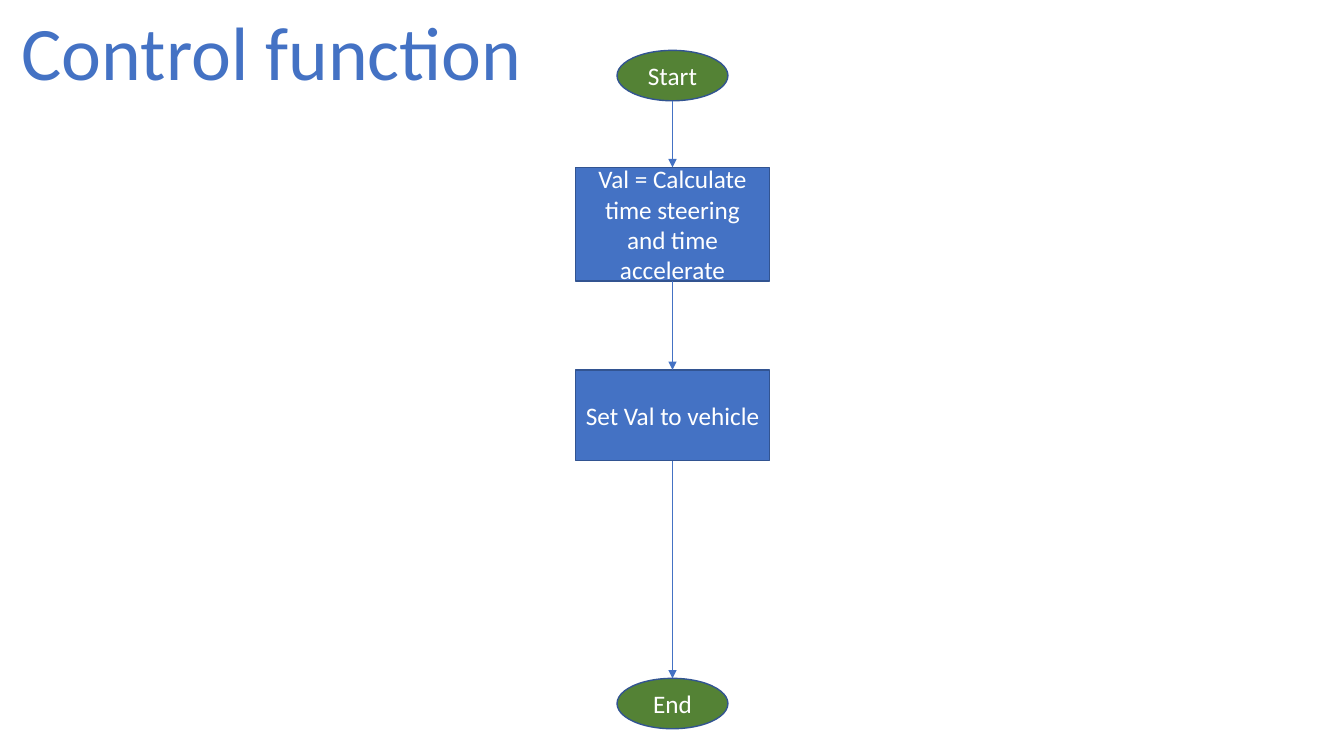
from dataclasses import dataclass
from itertools import pairwise

from lxml.etree import SubElement
from pptx import Presentation
from pptx.dml.color import RGBColor
from pptx.enum.shapes import MSO_CONNECTOR, MSO_SHAPE
from pptx.enum.text import MSO_ANCHOR, MSO_AUTO_SIZE, PP_ALIGN
from pptx.oxml.ns import qn
from pptx.util import Inches, Pt


@dataclass(frozen=True)
class Theme:
    font: str = "Calibri"
    blue: RGBColor = RGBColor(0x44, 0x72, 0xC4)
    green: RGBColor = RGBColor(0x54, 0x82, 0x35)
    outline: RGBColor = RGBColor(0x32, 0x54, 0x91)
    white: RGBColor = RGBColor(0xFF, 0xFF, 0xFF)
    title_size: int = 54
    step_size: int = 18
    outline_width: float = 1
    arrow_width: float = 0.5


THEME = Theme()
CENTER_X = 6.67
TOP, BOTTOM = 0, 2


def write_text(frame, text, *, size, color, wrap=True, anchor=MSO_ANCHOR.MIDDLE):
    frame.word_wrap = wrap
    frame.vertical_anchor = anchor
    paragraph = frame.paragraphs[0]
    paragraph.alignment = PP_ALIGN.CENTER
    run = paragraph.add_run()
    run.text = text
    run.font.name = THEME.font
    run.font.size = Pt(size)
    run.font.color.rgb = color


def add_title(slide, text):
    title = slide.shapes.add_textbox(0, 0, Inches(5.39), Inches(1.01))
    write_text(title.text_frame, text, size=THEME.title_size, color=THEME.blue,
               wrap=False, anchor=MSO_ANCHOR.TOP)
    title.text_frame.auto_size = MSO_AUTO_SIZE.SHAPE_TO_FIT_TEXT


def add_node(slide, geometry, text, top, width, height, fill):
    """Add a flowchart node centred on the flow's vertical axis."""
    node = slide.shapes.add_shape(geometry, Inches(CENTER_X - width / 2),
                                  Inches(top), Inches(width), Inches(height))
    node.shadow.inherit = False
    node.fill.solid()
    node.fill.fore_color.rgb = fill
    node.line.color.rgb = THEME.outline
    node.line.width = Pt(THEME.outline_width)
    write_text(node.text_frame, text, size=THEME.step_size, color=THEME.white)
    return node


def add_terminal(slide, text, top):
    return add_node(slide, MSO_SHAPE.OVAL, text, top, 1.1, 0.5, THEME.green)


def add_step(slide, text, top, height):
    return add_node(slide, MSO_SHAPE.RECTANGLE, text, top, 1.92, height, THEME.blue)


def add_arrow(slide, upper, lower):
    axis = Inches(CENTER_X)
    arrow = slide.shapes.add_connector(
        MSO_CONNECTOR.STRAIGHT, axis, upper.top + upper.height, axis, lower.top)
    if upper.auto_shape_type == MSO_SHAPE.RECTANGLE:
        arrow.begin_connect(upper, BOTTOM)
    arrow.end_connect(lower, TOP)
    arrow.line.color.rgb = THEME.blue
    arrow.line.width = Pt(THEME.arrow_width)
    SubElement(arrow.line._get_or_add_ln(), qn("a:tailEnd"), type="triangle")
    SubElement(arrow._element.spPr, qn("a:effectLst"))


def main():
    presentation = Presentation()
    presentation.slide_width = Inches(13.33)
    presentation.slide_height = Inches(7.5)
    slide = presentation.slides.add_slide(presentation.slide_layouts[6])

    add_title(slide, "Control function")
    flow = [
        add_terminal(slide, "Start", 0.5),
        add_step(slide, "Val = Calculate time steering and time accelerate", 1.66, 1.13),
        add_step(slide, "Set Val to vehicle ", 3.67, 0.9),
        add_terminal(slide, "End", 6.73),
    ]
    for upper, lower in pairwise(flow):
        add_arrow(slide, upper, lower)

    presentation.save("out.pptx")


if __name__ == "__main__":
    main()
